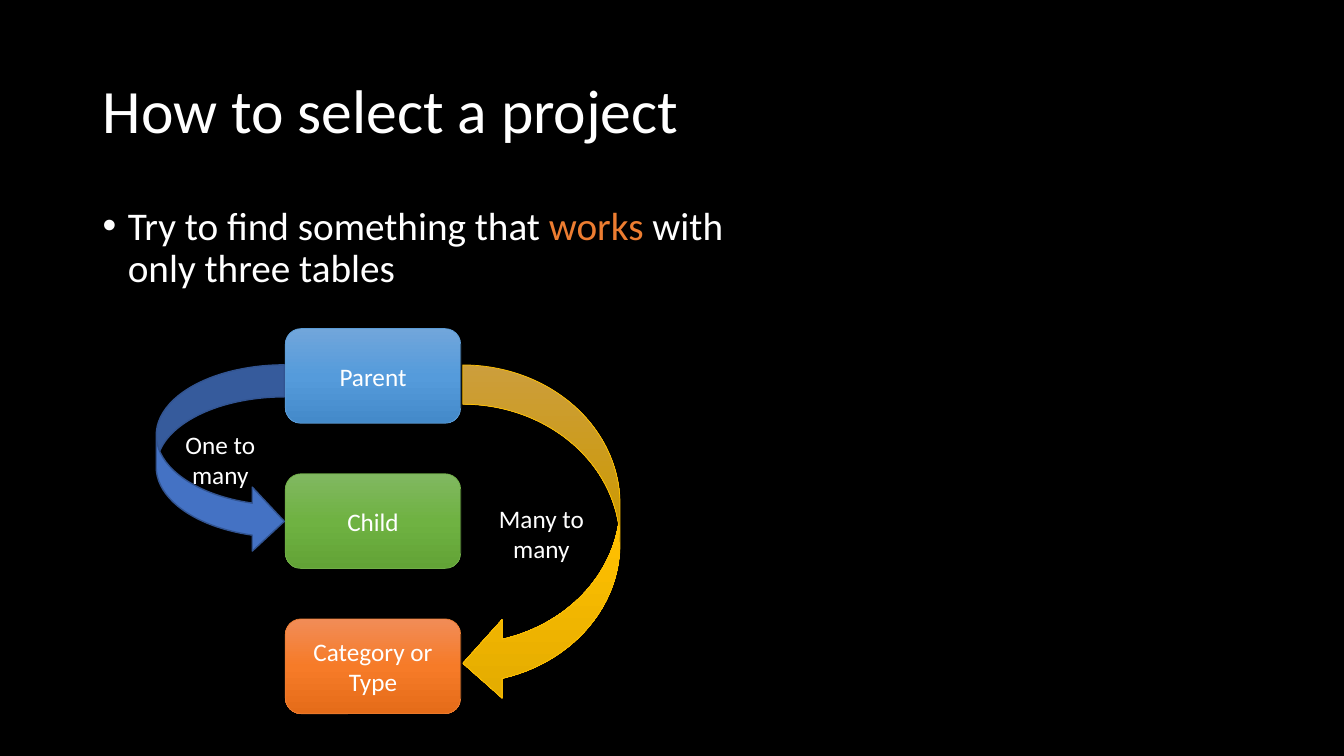
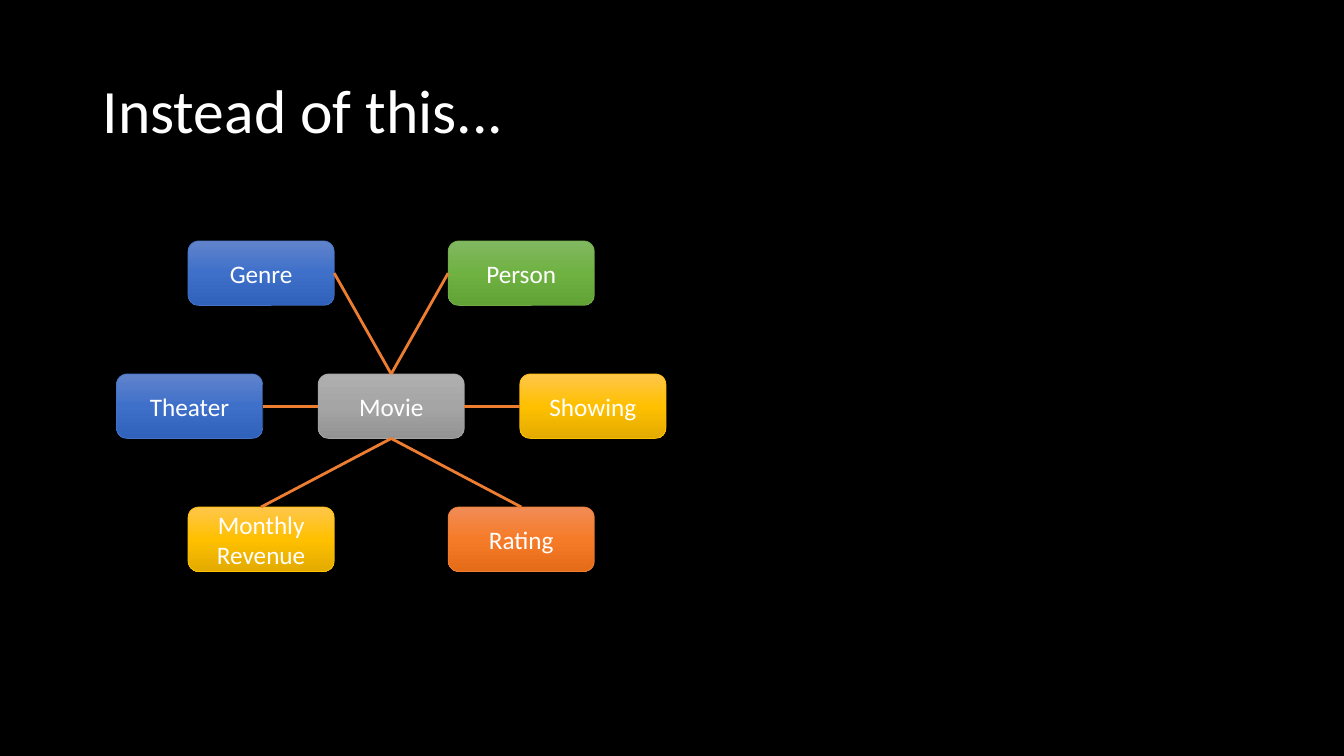
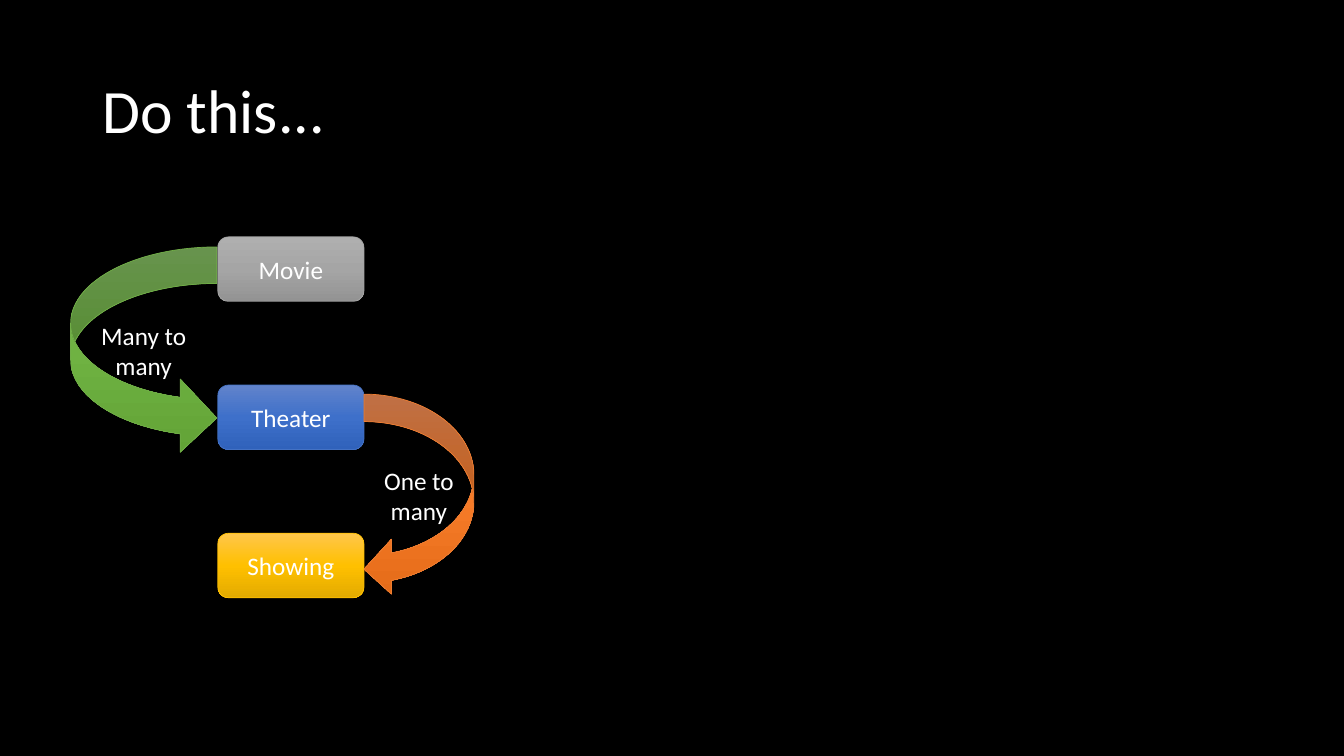
from copy import deepcopy
from dataclasses import dataclass

from pptx import Presentation
from pptx.dml.color import RGBColor
from pptx.enum.shapes import MSO_CONNECTOR, MSO_SHAPE as SHAPE
from pptx.enum.text import MSO_ANCHOR as ANCHOR, PP_ALIGN as ALIGN
from pptx.oxml.ns import qn
from pptx.oxml.xmlchemy import OxmlElement
from pptx.util import Inches, Pt


@dataclass(frozen=True)
class Tone:
    """An outline colour and the top, middle and bottom of its gradient."""
    line: str
    stops: tuple


@dataclass(frozen=True)
class Theme:
    font: str = "Calibri"
    background: str = "000000"
    text: str = "FFFFFF"
    accent: str = "ED7D31"
    flat_fill: str = "4472C4"
    flat_line: str = "325491"
    title_size: int = 44
    body_size: int = 28
    label_size: int = 18
    outline: float = 0.5
    flat_outline: float = 1
    link: float = 2
    sky: Tone = Tone("5B9BD5", ("71A6DB", "559BDB", "448ACA"))
    blue: Tone = Tone("4472C4", ("6183CB", "3E70CA", "3062BB"))
    green: Tone = Tone("70AD47", ("81B861", "6FB242", "62A336"))
    orange: Tone = Tone("ED7D31", ("F18C57", "F67B28", "E56C19"))
    gold: Tone = Tone("FFC000", ("FFC64B", "FFC000", "E3AB00"))
    gray: Tone = Tone("A5A5A5", ("AFAFAF", "A5A5A5", "939393"))


THEME = Theme()
TOP, LEFT, BOTTOM, RIGHT = range(4)  # connection sites of a box
SMALL_BOX = (1.45, 0.64)


def apply(obj, values):
    for name, value in values.items():
        setattr(obj, name, value)


def rgb(code):
    return RGBColor.from_string(code)


def add_run(p, text, size, color=THEME.text):
    r = p.add_run()
    r.text = text
    apply(r.font, {"name": THEME.font, "size": Pt(size)})
    r.font.color.rgb = rgb(color)


def add_text_box(slide, at, anchor):
    """Add a wrapping text box and return its first paragraph."""
    tf = slide.shapes.add_textbox(*map(Inches, at)).text_frame
    apply(tf, {"word_wrap": True, "vertical_anchor": anchor})
    p = tf.paragraphs[0]
    p.line_spacing = 0.9
    return p


def add_titled_slide(prs, title):
    slide = prs.slides.add_slide(prs.slide_layouts[6])
    p = add_text_box(slide, (0.92, 0.4, 11.5, 1.45), ANCHOR.MIDDLE)
    add_run(p, title, THEME.title_size)
    return slide


def add_bullet(slide, at, runs):
    p = add_text_box(slide, at, ANCHOR.TOP)
    pPr = p._p.get_or_add_pPr()
    pPr.set("marL", str(Inches(0.25)))
    pPr.set("indent", str(Inches(-0.25)))
    for tag, key, value in (("a:buFont", "typeface", "Arial"),
                            ("a:buChar", "char", "•")):
        bullet = OxmlElement(tag)
        bullet.set(key, value)
        pPr.append(bullet)
    for text, color in runs:
        add_run(p, text, THEME.body_size, color)


def add_labelled_shape(slide, kind, at, label):
    s = slide.shapes.add_shape(kind, *map(Inches, at))
    s.shadow.inherit = False
    s.text_frame.vertical_anchor = ANCHOR.MIDDLE
    p = s.text_frame.paragraphs[0]
    p.alignment = ALIGN.CENTER
    add_run(p, label, THEME.label_size)
    return s


def set_line(line, color, width):
    line.color.rgb = rgb(color)
    line.width = Pt(width)


def add_toned_shape(slide, kind, at, label, tone):
    """Add a labelled shape with a three-stop gradient from top to bottom."""
    s = add_labelled_shape(slide, kind, at, label)
    set_line(s.line, tone.line, THEME.outline)
    s.fill.gradient()
    s.fill.gradient_angle = 270
    stops = s._element.spPr.find(".//" + qn("a:gsLst"))
    stops.append(deepcopy(stops[0]))
    for i, (stop, color) in enumerate(zip(s.fill.gradient_stops, tone.stops)):
        stop.position = i / 2
        stop.color.rgb = rgb(color)
    return s


def add_flat_shape(slide, kind, at, label):
    s = add_labelled_shape(slide, kind, at, label)
    s.fill.solid()
    s.fill.fore_color.rgb = rgb(THEME.flat_fill)
    set_line(s.line, THEME.flat_line, THEME.flat_outline)


def add_stack(slide, left, top, size, pitch, boxes):
    """Add boxes one below the other, their tops one pitch apart."""
    for i, (label, tone) in enumerate(boxes):
        at = (left, top + i * pitch, *size)
        add_toned_shape(slide, SHAPE.ROUNDED_RECTANGLE, at, label, tone)


def add_link(slide, start, start_site, end, end_site):
    line = slide.shapes.add_connector(MSO_CONNECTOR.STRAIGHT, 0, 0, 0, 0)
    line.begin_connect(start, start_site)
    line.end_connect(end, end_site)
    set_line(line.line, THEME.accent, THEME.link)
    line._element.spPr.append(OxmlElement("a:effectLst"))


def build_selection(prs):
    slide = add_titled_slide(prs, "How to select a project")
    add_bullet(slide, (0.92, 2, 6.43, 1.1), (
        ("Try to find something that ", THEME.text),
        ("works", THEME.accent),
        (" with only three tables", THEME.text)))
    add_stack(slide, 2.83, 3.26, (1.74, 0.94), 1.44, (
        ("Parent", THEME.sky),
        ("Child", THEME.green),
        ("Category or Type", THEME.orange)))
    add_flat_shape(slide, SHAPE.CURVED_RIGHT_ARROW,
                   (1.55, 3.62, 1.27, 1.87), "One to many")
    add_toned_shape(slide, SHAPE.CURVED_LEFT_ARROW,
                    (4.59, 3.62, 1.56, 3.35), "Many to many", THEME.gold)


def build_many_tables(prs):
    slide = add_titled_slide(prs, "Instead of this...")
    width, height = SMALL_BOX
    center_x, center_y = 3.88, 4.03
    near, far, pitch = 1.29, 2, 1.32

    def add_table_box(label, tone, dx, row):
        at = (center_x + dx - width / 2,
              center_y + row * pitch - height / 2, width, height)
        return add_toned_shape(slide, SHAPE.ROUNDED_RECTANGLE, at, label, tone)

    movie = add_table_box("Movie", THEME.gray, 0, 0)
    satellites = (
        ("Genre", THEME.blue, -near, -1, RIGHT, TOP),
        ("Monthly Revenue", THEME.gold, -near, 1, TOP, BOTTOM),
        ("Rating", THEME.orange, near, 1, TOP, BOTTOM),
        ("Person", THEME.green, near, -1, LEFT, TOP),
        ("Theater", THEME.blue, -far, 0, RIGHT, LEFT),
        ("Showing", THEME.gold, far, 0, LEFT, RIGHT),
    )
    for label, tone, dx, row, site, movie_site in satellites:
        box = add_table_box(label, tone, dx, row)
        add_link(slide, box, site, movie, movie_site)


def build_three_tables(prs):
    slide = add_titled_slide(prs, "Do this...")
    add_stack(slide, 2.16, 2.35, SMALL_BOX, 1.47, (
        ("Movie", THEME.gray),
        ("Theater", THEME.blue),
        ("Showing", THEME.gold)))
    add_toned_shape(slide, SHAPE.CURVED_RIGHT_ARROW,
                    (0.7, 2.45, 1.45, 2.06), "Many to many", THEME.green)
    add_toned_shape(slide, SHAPE.CURVED_LEFT_ARROW,
                    (3.61, 3.91, 1.09, 2.01), "One to many", THEME.orange)


def main():
    prs = Presentation()
    apply(prs, {"slide_width": Inches(13.33), "slide_height": Inches(7.5)})
    fill = prs.slide_master.background.fill
    fill.solid()
    fill.fore_color.rgb = rgb(THEME.background)
    build_selection(prs)
    build_many_tables(prs)
    build_three_tables(prs)
    prs.save("out.pptx")


if __name__ == "__main__":
    main()
